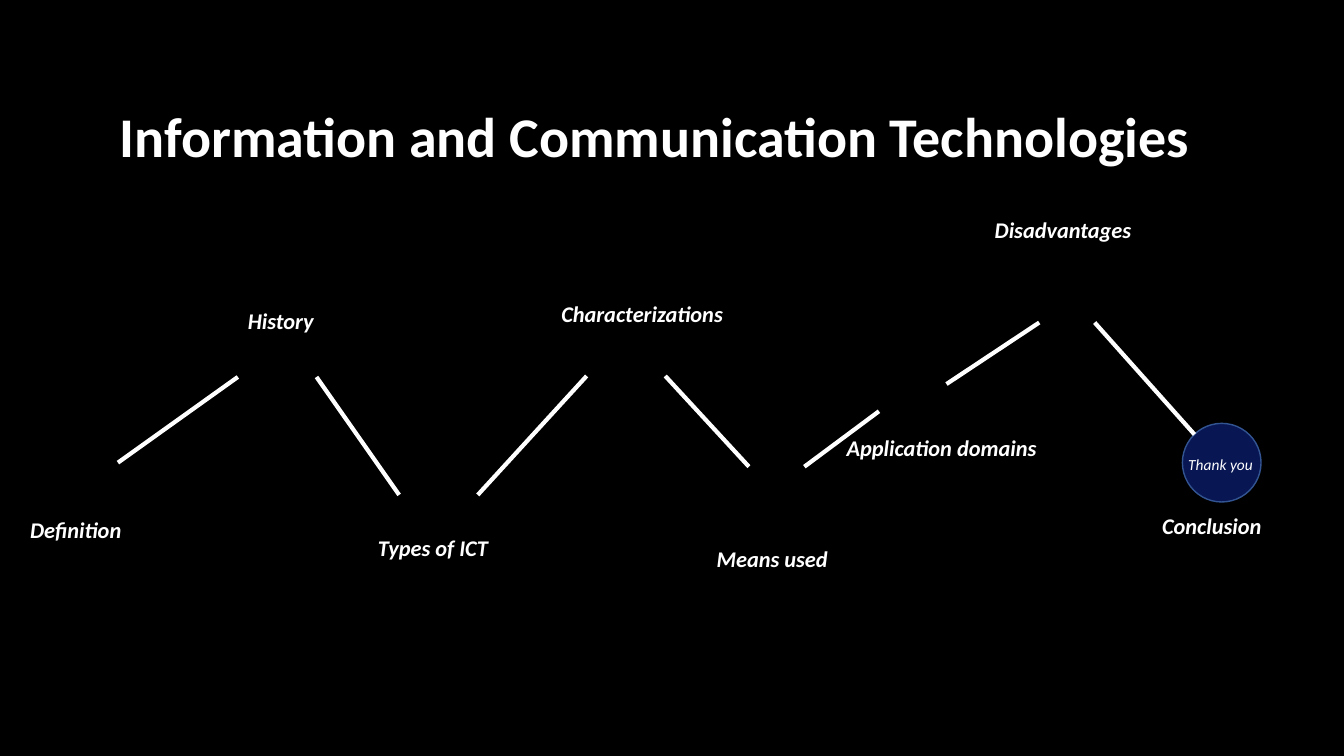
from itertools import pairwise

from lxml import etree
from pptx import Presentation
from pptx.dml.color import RGBColor
from pptx.enum.shapes import MSO_CONNECTOR, MSO_SHAPE
from pptx.enum.text import MSO_AUTO_SIZE
from pptx.oxml.ns import qn
from pptx.util import Inches, Pt

STRAIGHT = MSO_CONNECTOR.STRAIGHT
OVAL = MSO_SHAPE.OVAL
GROW = MSO_AUTO_SIZE.SHAPE_TO_FIT_TEXT

COLORS = {"night": "000000", "white": "FFFFFF", "navy": "081654", "rim": "325491"}
FONT = "Calibri"
SLIDE_WIDTH, SLIDE_HEIGHT = Inches(13.33), Inches(7.5)
COLUMNS, ROWS = 40, 22.5
COLUMN, ROW = SLIDE_WIDTH / COLUMNS, SLIDE_HEIGHT / ROWS
LABEL_HEIGHT = 1.11

TITLE_BOX = (3.27, 2.88, 35.52, 2.31)
JOURNEY_BOX = (0, 6, 40, 11)

# label, (left, top, width) of the label, point of arrival, point of departure
STOPS = [
    ("Definition", (0.6, 9.21, 3.54), None, (3.51, 7.77)),
    ("History", (7.08, 3, 3.54), (7.08, 5.22), (9.42, 5.22)),
    ("Types of ICT", (10.95, 9.75, 4.2), (11.88, 8.73), (14.22, 8.73)),
    ("Characterizations", (16.41, 2.79, 5.55), (17.46, 5.19), (19.8, 5.19)),
    ("Means used", (21.03, 10.08, 4.2), (22.29, 7.89), (23.94, 7.89)),
    ("Application domains", (24.9, 6.78, 6.78), (26.16, 6.24), (28.17, 5.43)),
    ("Disadvantages", (29.31, 0.3, 4.86), (30.93, 3.6), (32.58, 3.6)),
    ("Conclusion", (34.29, 9.09, 4.17), (35.55, 6.93), None),
]
FAREWELL_CIRCLE = (35.19, 6.6, 2.34, 2.34)
FAREWELL_TEXT = (35.07, 7.41, 2.85, 0.87)


def color(name):
    return RGBColor.from_string(COLORS[name])


def on_slide(box, x, y):
    return round((box[0] + x) * COLUMN), round((box[1] + y) * ROW)


def frame(box, x, y, width, height):
    return *on_slide(box, x, y), round(width * COLUMN), round(height * ROW)


def add_text(slide, place, wording, size, bold=False, italic=False):
    text_frame = slide.shapes.add_textbox(*place).text_frame
    text_frame.word_wrap = True
    text_frame.auto_size = GROW
    text_frame.text = wording
    font = text_frame.paragraphs[0].runs[0].font
    font.name, font.size = FONT, Pt(size)
    font.bold, font.italic = bold, italic
    font.color.rgb = color("white")


def add_path(slide, start, end):
    path_line = slide.shapes.add_connector(STRAIGHT, *start, *end)
    path_line.line.color.rgb = color("white")
    path_line.line.width = Pt(3)
    etree.SubElement(path_line._element.spPr, qn("a:effectLst"))


def add_title(slide, box):
    add_text(slide, frame(box, 0, 0, *box[2:]),
             "Information and Communication Technologies", 40, bold=True)


def add_journey(slide, box):
    circle = slide.shapes.add_shape(OVAL, *frame(box, *FAREWELL_CIRCLE))
    circle.shadow.inherit = False
    circle.fill.solid()
    circle.fill.fore_color.rgb = color("navy")
    circle.line.color.rgb = color("rim")
    circle.line.width = Pt(1)

    for (*_, departure), (_, _, arrival, _) in pairwise(STOPS):
        add_path(slide, on_slide(box, *departure), on_slide(box, *arrival))
    for label, place, _, _ in STOPS:
        add_text(slide, frame(box, *place, LABEL_HEIGHT), label, 16,
                 bold=True, italic=True)
    add_text(slide, frame(box, *FAREWELL_TEXT), "Thank you", 11, italic=True)


def main():
    deck = Presentation()
    deck.slide_width, deck.slide_height = SLIDE_WIDTH, SLIDE_HEIGHT
    slide = deck.slides.add_slide(deck.slide_layouts[6])
    slide.background.fill.solid()
    slide.background.fill.fore_color.rgb = color("night")
    add_title(slide, TITLE_BOX)
    add_journey(slide, JOURNEY_BOX)
    deck.save("out.pptx")


if __name__ == "__main__":
    main()
